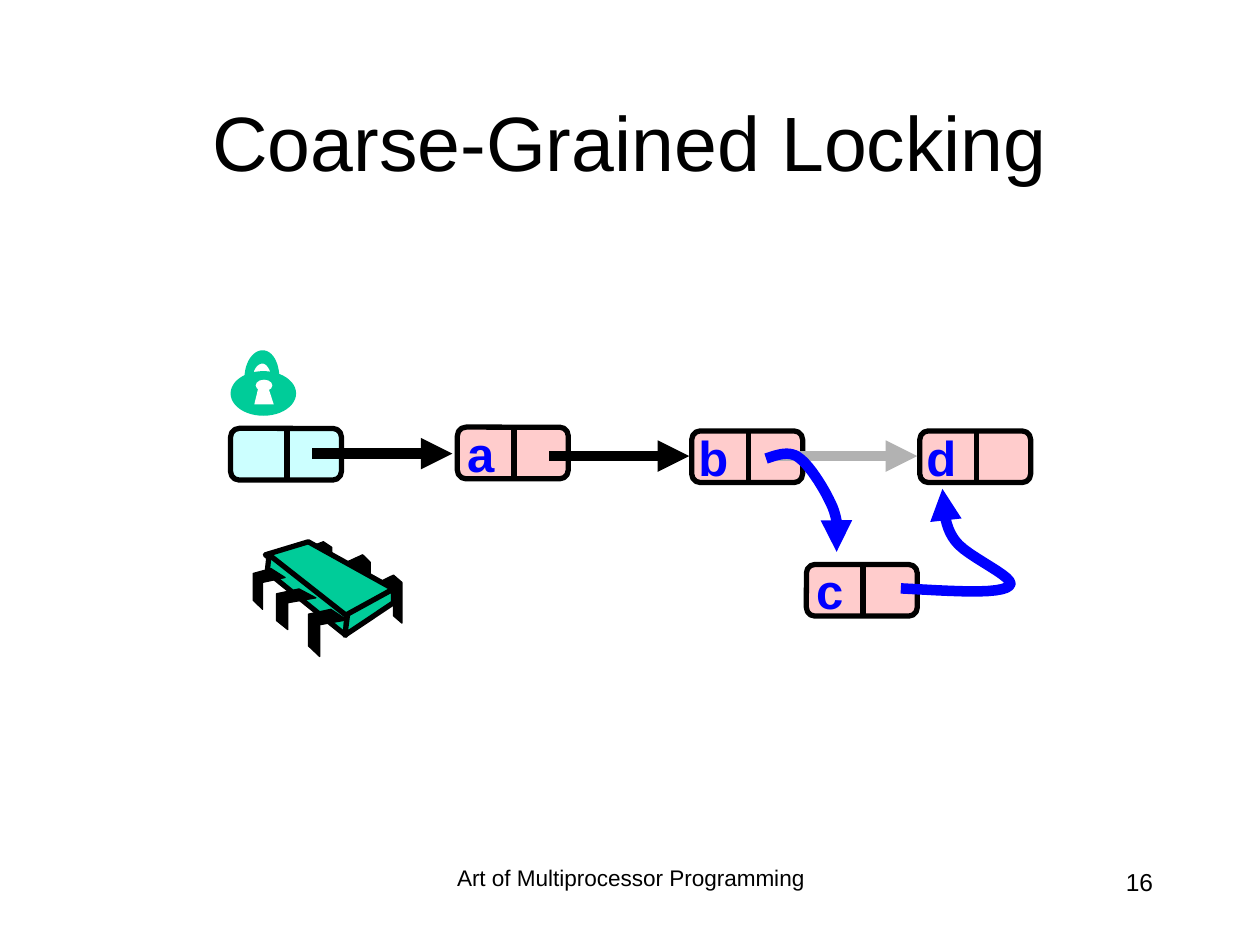
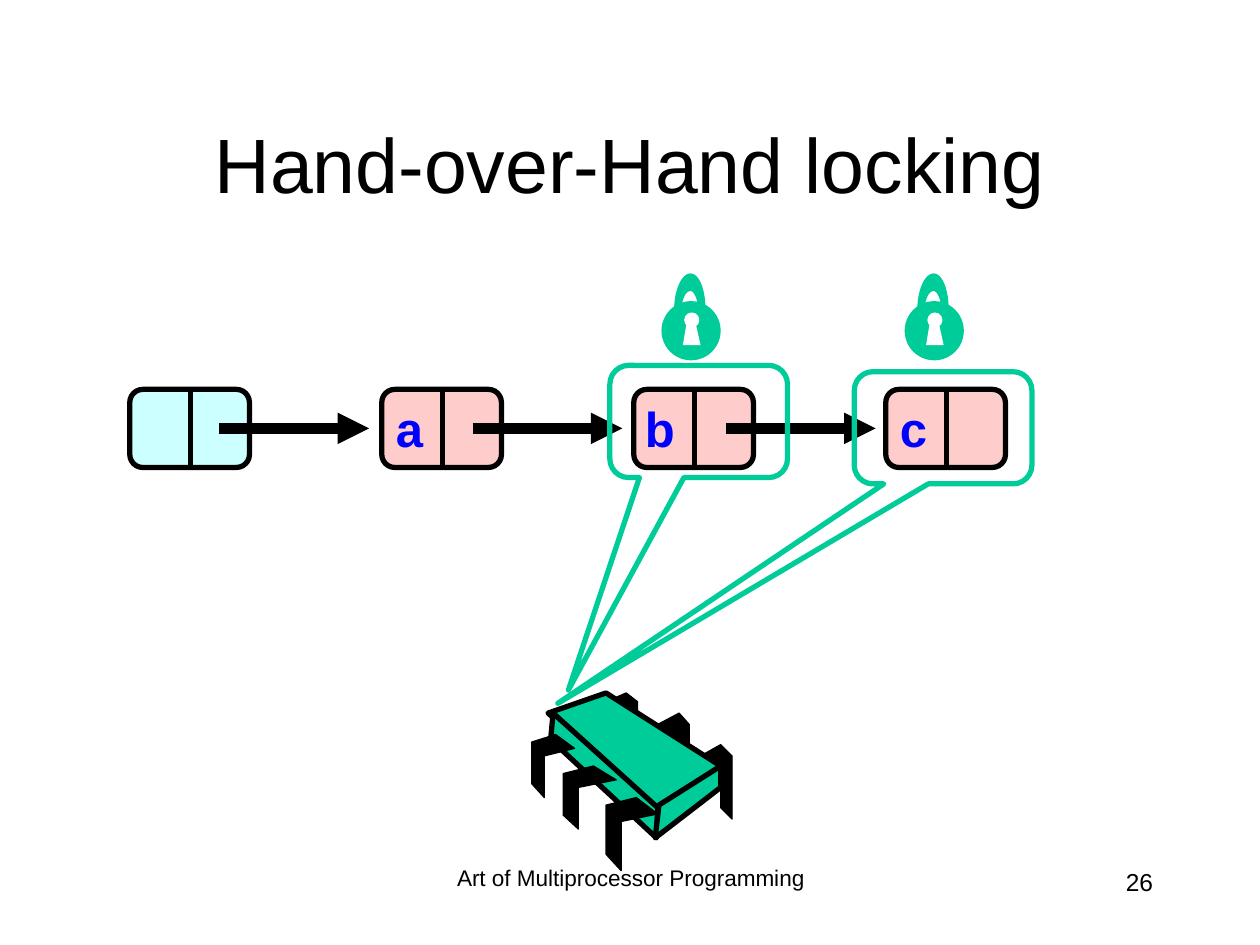
from dataclasses import dataclass

from lxml import etree
from pptx import Presentation
from pptx import util as u
from pptx.dml.color import RGBColor
from pptx.enum import shapes, text
from pptx.oxml.ns import qn


@dataclass(frozen=True)
class Theme:
    font: str = "Arial"
    ink: str = "000000"
    paper: str = "FFFFFF"
    sentinel: str = "CCFFFF"
    node: str = "FFCCCC"
    thread: str = "00CC99"
    accent: str = "0000FF"
    removed: str = "B2B2B2"
    title_size: float = 44
    label_size: float = 28
    number_size: float = 14
    footer_size: float = 12.9
    hairline: float = 0.75
    outline: float = 3
    arrow: float = 6


THEME = Theme()

# Chip parts on a 159 x 141 grid, from back to front.
CHIP_GRID = (159, 141)
CHIP_BACK_LEGS = [
    [(134, 50), (150, 41), (159, 50), (159, 100), (150, 91), (150, 58), (134, 66)],
    [(100, 25), (117, 16), (125, 25), (125, 75), (117, 66), (117, 33), (100, 41)],
    [(59, 7), (75, 0), (84, 7), (84, 50), (75, 43), (75, 14), (59, 21)],
]
CHIP_FACES = [
    [(59, 0), (150, 58), (99, 93), (13, 16)],
    [(17, 16), (100, 91), (99, 115), (15, 37)],
    [(150, 58), (150, 75), (98, 115), (101, 89)],
]
CHIP_FRONT_LEGS = [
    [(83, 83), (100, 96), (71, 102), (71, 141), (59, 128), (59, 89)],
    [(49, 58), (67, 69), (37, 75), (37, 108), (25, 97), (25, 64)],
    [(19, 33), (34, 44), (10, 50), (10, 83), (0, 72), (0, 39)],
]

# Padlock parts on a 47 x 69 grid.
LOCK_GRID = (47, 69)
LOCK_BODY = (0, 22, 47, 47)
KEYHOLE_TOP = (18, 31, 12, 12)
KEYHOLE_SLOT = [(17, 57), (20, 39), (27, 39), (31, 57)]
SHACKLE_INNER = [(16, 29), (16, 21), (19, 14), (23, 14), (26, 14), (29, 21), (29, 29)]
SHACKLE_OUTER = [(35, 29), (35, 13), (30, 0), (23, 0), (16, 0), (10, 13), (10, 29)]


def rgb(color):
    return RGBColor.from_string(color)


def write(frame, content, *, size, color=THEME.ink, bold=False,
          align=text.PP_ALIGN.LEFT, spacing=None):
    frame.text = content
    paragraph = frame.paragraphs[0]
    paragraph.alignment = align
    paragraph.line_spacing = spacing
    font = paragraph.runs[0].font
    font.name, font.size, font.bold = THEME.font, u.Pt(size), bold
    font.color.rgb = rgb(color)


def add_label(slide, content, box, *, wrap=True, **style):
    frame = slide.shapes.add_textbox(*map(u.Inches, box)).text_frame
    write(frame, content, **style)
    frame.word_wrap = wrap
    if not wrap:
        frame.auto_size = text.MSO_AUTO_SIZE.SHAPE_TO_FIT_TEXT


def paint(shape, fill=None, line=None, width=THEME.outline):
    """Set fill and line; None leaves either one out."""
    if fill:
        shape.fill.solid()
        shape.fill.fore_color.rgb = rgb(fill)
    else:
        shape.fill.background()
    if line:
        shape.line.color.rgb = rgb(line)
        shape.line.width = u.Pt(width)
    else:
        shape.line.fill.background()
    shape.shadow.inherit = False


def add_preset(slide, kind, box, adjustments=(), **look):
    shape = slide.shapes.add_shape(kind, *map(u.Inches, box))
    for index, value in enumerate(adjustments):
        shape.adjustments[index] = value
    paint(shape, **look)


def add_outline(slide, points, close=True, **look):
    start, *rest = [(u.Inches(x), u.Inches(y)) for x, y in points]
    builder = slide.shapes.build_freeform(*start, scale=1)
    builder.add_line_segments(rest, close=close)
    shape = builder.convert_to_shape()
    paint(shape, **look)
    return shape


def bezier_points(controls, steps=12):
    """Sample chained cubic curves given as start, then three points per curve."""
    points = [controls[0]]
    for i in range(0, len(controls) - 1, 3):
        curve = controls[i:i + 4]
        for step in range(1, steps + 1):
            t = step / steps
            weights = ((1 - t) ** 3, 3 * t * (1 - t) ** 2, 3 * t * t * (1 - t), t ** 3)
            points.append(tuple(sum(w * p[axis] for w, p in zip(weights, curve))
                                for axis in (0, 1)))
    return points


def add_arrowhead(shape):
    line = shape.element.spPr.find(qn("a:ln"))
    etree.SubElement(line, qn("a:tailEnd"), type="triangle")


def add_line(slide, start, end, color=THEME.ink, width=THEME.outline):
    line = slide.shapes.add_connector(
        shapes.MSO_CONNECTOR.STRAIGHT, *map(u.Inches, (*start, *end)))
    line.line.color.rgb = rgb(color)
    line.line.width = u.Pt(width)
    etree.SubElement(line.element.spPr, qn("a:effectLst"))
    return line


def add_pointer(slide, x, y, length, color=THEME.ink):
    add_arrowhead(add_line(slide, (x, y), (x + length, y), color, THEME.arrow))


def add_curved_pointer(slide, controls):
    add_arrowhead(add_outline(slide, bezier_points(controls), close=False,
                              line=THEME.accent, width=THEME.arrow))


def add_node(slide, x, y, size, name=""):
    """Draw a list node; one without a name is the sentinel."""
    width, height = size
    add_preset(slide, shapes.MSO_SHAPE.ROUNDED_RECTANGLE, (x, y, width, height),
               [0.167], fill=THEME.node if name else THEME.sentinel, line=THEME.ink)
    divider = x + 0.51 * width
    add_line(slide, (divider, y), (divider, y + height))
    if name:
        label_width, label_height = (0.44 if name in "bd" else 0.41), 0.57
        add_label(slide, name,
                  (divider - 0.06 - label_width, y + (height - label_height) / 2,
                   label_width, label_height),
                  wrap=False, size=THEME.label_size, color=THEME.accent, bold=True,
                  align=text.PP_ALIGN.RIGHT)


def fit(points, grid, box):
    """Map grid points into a box on the slide."""
    left, top, width, height = box
    return [(left + px * width / grid[0], top + py * height / grid[1])
            for px, py in points]


def add_chip(slide, box):
    def draw(parts, fill, width):
        for part in parts:
            add_outline(slide, fit(part, CHIP_GRID, box),
                        fill=fill, line=THEME.ink, width=width)

    draw(CHIP_BACK_LEGS, THEME.ink, THEME.hairline)
    draw(CHIP_FACES, THEME.thread, THEME.outline)
    draw(CHIP_FRONT_LEGS, THEME.ink, THEME.hairline)


def add_lock(slide, box):
    def oval(part, fill):
        x, y, width, height = part
        (left, top), (right, bottom) = fit(
            [(x, y), (x + width, y + height)], LOCK_GRID, box)
        add_preset(slide, shapes.MSO_SHAPE.OVAL,
                   (left, top, right - left, bottom - top), fill=fill)

    oval(LOCK_BODY, THEME.thread)
    oval(KEYHOLE_TOP, THEME.paper)
    add_outline(slide, fit(KEYHOLE_SLOT, LOCK_GRID, box), fill=THEME.paper)
    shackle = bezier_points(SHACKLE_INNER) + bezier_points(SHACKLE_OUTER)
    add_outline(slide, fit(shackle, LOCK_GRID, box), fill=THEME.thread)


def add_slide(deck, title, title_top, number):
    slide = deck.slides.add_slide(deck.slide_layouts.get_by_name("Title Only"))
    heading = slide.shapes.title
    heading.left, heading.top, heading.width, heading.height = map(
        u.Inches, (0.75, title_top, 8.5, 1.25))
    heading.text_frame.vertical_anchor = text.MSO_ANCHOR.MIDDLE
    write(heading.text_frame, title, size=THEME.title_size, align=text.PP_ALIGN.CENTER)
    add_label(slide, "Art of Multiprocessor Programming", (3.42, 6.83, 3.17, 0.5),
              size=THEME.footer_size, align=text.PP_ALIGN.CENTER, spacing=0.9)
    add_label(slide, str(number), (7.17, 6.83, 2.08, 0.5),
              size=THEME.number_size, align=text.PP_ALIGN.RIGHT)
    return slide


def add_coarse_grained_slide(deck):
    slide = add_slide(deck, "Coarse-Grained Locking", 0.49, 16)
    nodes = [("", 1.83, 3.4), ("a", 3.63, 3.39), ("b", 5.49, 3.42),
             ("d", 7.3, 3.42), ("c", 6.4, 4.48)]
    for name, x, y in nodes:
        add_node(slide, x, y, (0.88, 0.41), name)
    for x, y, color in [(2.48, 3.6, THEME.ink), (6.17, 3.62, THEME.removed),
                        (4.36, 3.62, THEME.ink)]:
        add_pointer(slide, x, y, 1.11, color)
    add_lock(slide, (1.83, 2.78, 0.52, 0.52))
    c_to_d = [(7.15, 4.67), (7.54, 4.69), (7.94, 4.72), (8.01, 4.65), (8.09, 4.59),
              (7.67, 4.42), (7.58, 4.29), (7.49, 4.17), (7.49, 4.02), (7.48, 3.88)]
    b_to_c = [(6.08, 3.64), (6.17, 3.61), (6.27, 3.57), (6.35, 3.64), (6.44, 3.71),
              (6.56, 3.91), (6.61, 4.03), (6.66, 4.16), (6.65, 4.27), (6.64, 4.38)]
    for controls in (c_to_d, b_to_c):
        add_curved_pointer(slide, controls)
    add_chip(slide, (2.01, 4.3, 1.18, 0.91))


def add_hand_over_hand_slide(deck):
    slide = add_slide(deck, "Hand-over-Hand locking", 0.67, 26)
    for i, name in enumerate(["", "a", "b", "c"]):
        add_node(slide, 1.03 + 2 * i, 3.09, (0.95, 0.62), name)
    for i in range(3):
        add_pointer(slide, 1.74 + 2.01 * i, 3.4, 1.19)
    add_chip(slide, (4.22, 5.5, 1.59, 1.41))
    held_nodes = [(7.18, 6.78, 2.95, -2.169, 2.457), (5.25, 4.84, 2.9, -0.734, 2.395)]
    for lock_x, x, y, tip_x, tip_y in held_nodes:
        add_lock(slide, (lock_x, 2.17, 0.47, 0.69))
        add_preset(slide, shapes.MSO_SHAPE.ROUNDED_RECTANGULAR_CALLOUT,
                   (x, y, 1.41, 0.89), [tip_x, tip_y, 0.167], line=THEME.thread)


def main():
    deck = Presentation()
    deck.slide_width, deck.slide_height = u.Inches(10), u.Inches(7.5)
    add_coarse_grained_slide(deck)
    add_hand_over_hand_slide(deck)
    deck.save("out.pptx")


if __name__ == "__main__":
    main()
